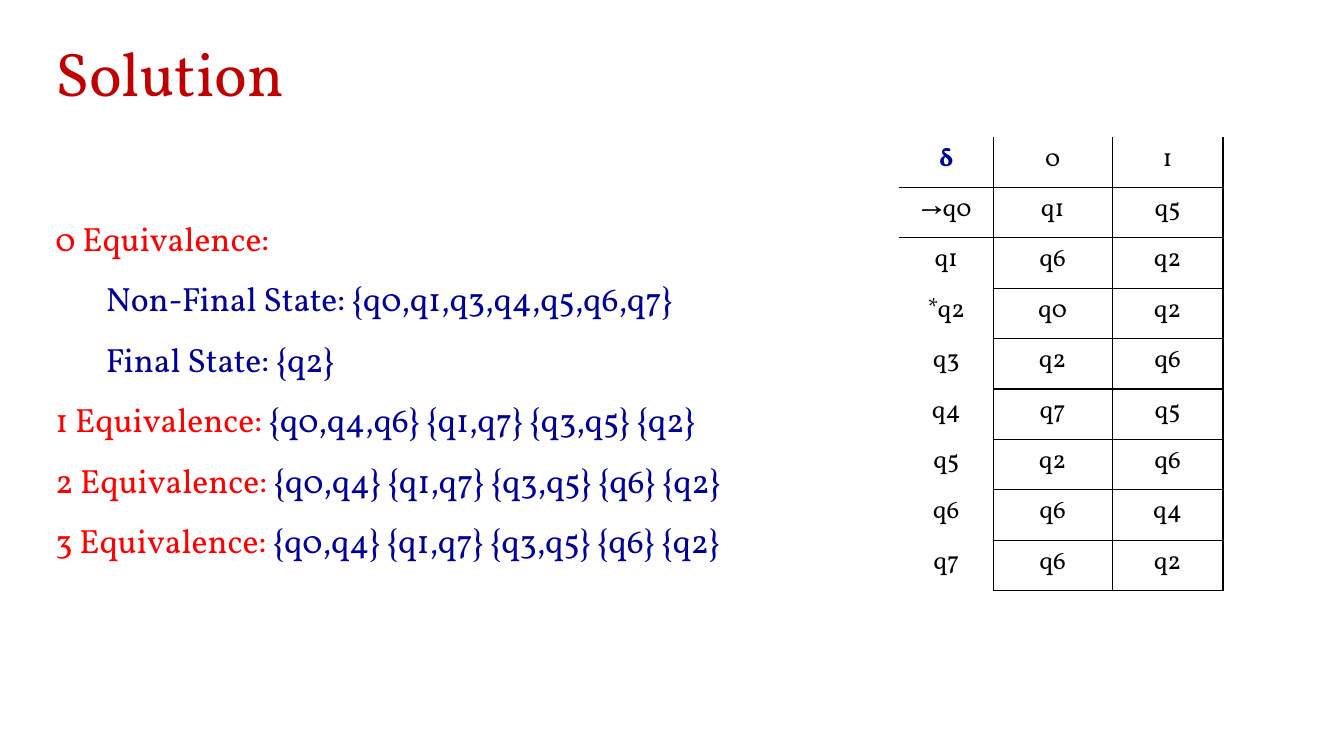
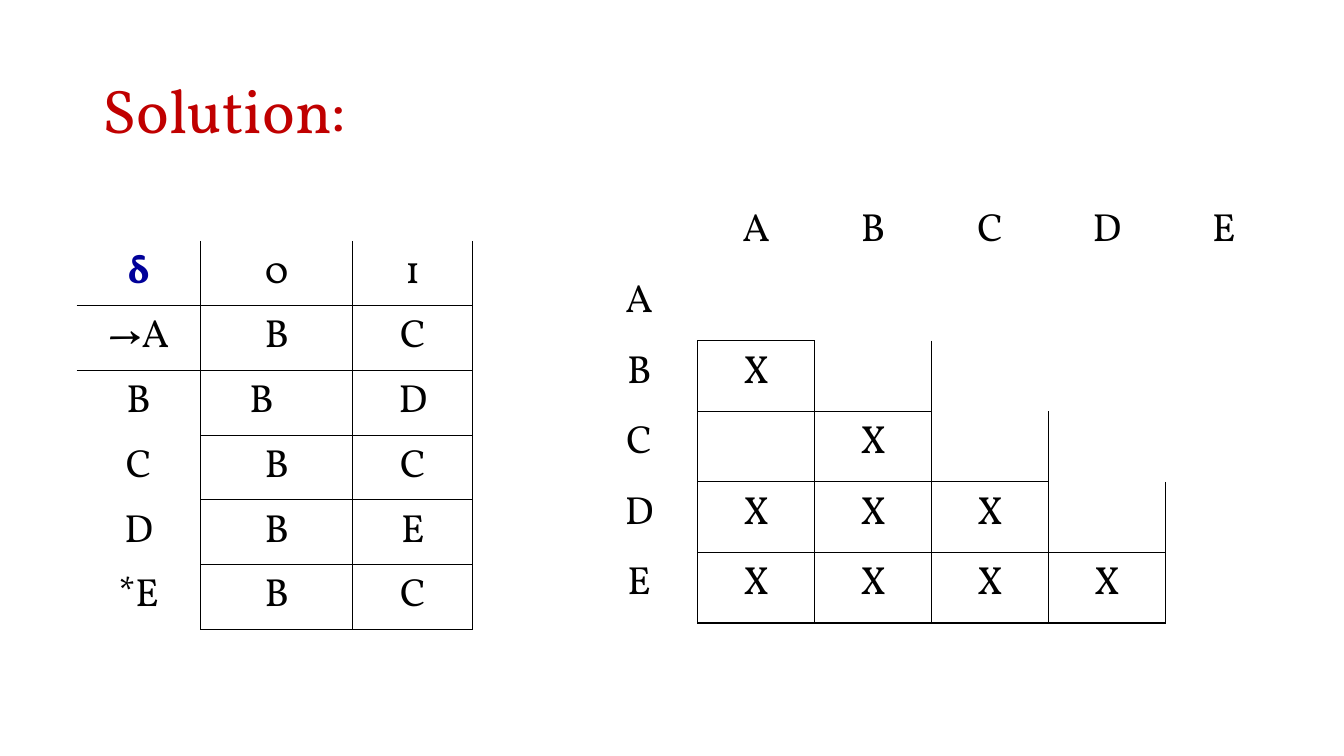
from dataclasses import dataclass
from typing import Callable

from lxml.etree import SubElement as Sub
from pptx import Presentation
from pptx.dml.color import RGBColor as Rgb
from pptx.enum.text import MSO_ANCHOR as Anchor, MSO_AUTO_SIZE as AutoSize, PP_ALIGN as Align
from pptx.oxml.ns import qn
from pptx.util import Emu, Pt

EMU_PER_PX = 9144
NO_GRID_STYLE = "{2D5ABB26-0587-4C30-8999-92F81FD0307C}"
NEIGHBOURS = {"L": (0, -1, "R"), "R": (0, 1, "L"), "T": (-1, 0, "B"), "B": (1, 0, "T")}


@dataclass(frozen=True)
class Theme:
    """Fonts, colours and type sizes of the deck."""

    font: str = "Vollkorn"
    title: str = "C00000"
    heading: str = "FF0000"
    states: str = "000099"
    ink: str = "000000"
    title_size: int = 44
    body_size: int = 24
    small_table_size: int = 18
    large_table_size: int = 28
    border: int = 1


@dataclass(frozen=True)
class Box:
    """A rectangle in px."""

    left: int
    top: int
    width: int
    height: int


@dataclass(frozen=True)
class Line:
    """A list line with a heading part and a states part."""

    heading: str = ""
    states: str = ""
    level: int = 0


@dataclass(frozen=True)
class Grid:
    """A table: its place, measures, texts and the sides each cell draws."""

    left: int
    top: int
    columns: list[int]
    row_height: int
    size: int
    rows: list[list[str]]
    sides: Callable[[int, int], str]


THEME = Theme()


def px(length: int) -> Emu:
    """Turn px into EMU."""
    return Emu(length * EMU_PER_PX)


def place(shape, box: Box) -> None:
    """Move and size a shape."""
    shape.left, shape.top = px(box.left), px(box.top)
    shape.width, shape.height = px(box.width), px(box.height)


def add_run(para, text: str, size: int, colour: str, bold: bool = False) -> None:
    """Add one formatted run to a paragraph."""
    span = para.add_run()
    span.text = text
    span.font.name = THEME.font
    span.font.size = Pt(size)
    span.font.bold = bold
    span.font.color.rgb = Rgb.from_string(colour)


def set_title(page, text: str, box: Box) -> None:
    """Fill the title placeholder."""
    title = page.shapes.title
    place(title, box)
    frame = title.text_frame
    frame.auto_size = AutoSize.NONE
    frame.vertical_anchor = Anchor.MIDDLE
    para = frame.paragraphs[0]
    para.alignment = Align.LEFT
    para.line_spacing = 0.9
    add_run(para, text, THEME.title_size, THEME.title)


def set_list(page, lines: list[Line], box: Box) -> None:
    """Fill the body placeholder with unbulleted lines."""
    body = page.placeholders[1]
    place(body, box)
    frame = body.text_frame
    frame.auto_size = AutoSize.SHAPE_TO_FIT_TEXT
    frame.vertical_anchor = Anchor.TOP
    for index, line in enumerate(lines):
        para = frame.add_paragraph() if index else frame.paragraphs[0]
        properties = para._p.get_or_add_pPr()
        properties.set("marL", str(px(50 * line.level)))
        properties.set("indent", "0")
        Sub(properties, qn("a:buNone"))
        para.level = line.level
        para.line_spacing = 1.5
        para.space_before = Pt(0)
        for text, colour in ((line.heading, THEME.heading), (line.states, THEME.states)):
            if text:
                add_run(para, text, THEME.body_size, colour)


def transition_sides(row: int, column: int) -> str:
    """Leave the outer top and left of a transition table open."""
    if column == 0:
        return "R" if row else "RB"
    return "LRTB" if row else "LRB"


def triangle_sides(row: int, column: int) -> str:
    """Frame only the cells below the diagonal."""
    return "LRTB" if 1 <= column < row else ""


def draw_borders(cell, grid: Grid, row: int, column: int) -> None:
    """Draw the sides owned by a cell or by its neighbours."""
    properties = cell._tc.get_or_add_tcPr()
    for side, (down, across, opposite) in NEIGHBOURS.items():
        near_row, near_column = row + down, column + across
        inside = 0 <= near_row < len(grid.rows) and 0 <= near_column < len(grid.columns)
        shared = inside and opposite in grid.sides(near_row, near_column)
        if shared or side in grid.sides(row, column):
            edge = Sub(properties, qn(f"a:ln{side}"), w=str(Pt(THEME.border)))
            Sub(Sub(edge, qn("a:solidFill")), qn("a:srgbClr"), val=THEME.ink)


def add_grid(page, grid: Grid):
    """Add a table and return it."""
    count = len(grid.rows)
    shape = page.shapes.add_table(
        count, len(grid.columns), px(grid.left), px(grid.top),
        px(sum(grid.columns)), px(count * grid.row_height))
    table = shape.table
    table.first_row = table.horz_banding = False
    table._tbl.tblPr.find(qn("a:tableStyleId")).text = NO_GRID_STYLE
    for column, width in zip(table.columns, grid.columns):
        column.width = px(width)
    for row, texts in enumerate(grid.rows):
        table.rows[row].height = px(grid.row_height)
        for column, text in enumerate(texts):
            cell = table.cell(row, column)
            draw_borders(cell, grid, row, column)
            cell.fill.background()
            para = cell.text_frame.paragraphs[0]
            para.alignment = Align.CENTER
            if text:
                corner = text == "δ"
                add_run(para, text, grid.size, THEME.states if corner else THEME.ink, corner)
    return table


def build_equivalence(deck) -> None:
    """Build the slide on equivalence classes."""
    page = deck.slides.add_slide(deck.slide_layouts[1])
    set_title(page, "Solution", Box(45, 20, 1150, 112))
    set_list(page, [
        Line("0 Equivalence:"),
        Line(states="Non-Final State: {q0,q1,q3,q4,q5,q6,q7}", level=1),
        Line(states="Final State: {q2}", level=1),
        Line("1 Equivalence: ", "{q0,q4,q6} {q1,q7} {q3,q5} {q2}"),
        Line("2 Equivalence: ", "{q0,q4} {q1,q7} {q3,q5} {q6} {q2}"),
        Line("3 Equivalence: ", "{q0,q4} {q1,q7} {q3,q5} {q6} {q2}"),
    ], Box(45, 191, 727, 367))
    rows = [
        ["δ", "0", "1"],
        ["→q0", "q1", "q5"],
        ["q1", "q6", "q2"],
        ["*q2", "q0", "q2"],
        ["q3", "q2", "q6"],
        ["q4", "q7", "q5"],
        ["q5", "q2", "q6"],
        ["q6", "q6", "q4"],
        ["q7", "q6", "q2"],
    ]
    add_grid(page, Grid(892, 136, [93, 118, 110], 50, THEME.small_table_size,
                        rows, transition_sides))


def build_table_filling(deck) -> None:
    """Build the slide on the table filling method."""
    page = deck.slides.add_slide(deck.slide_layouts[5])
    set_title(page, "Solution:", Box(92, 40, 1150, 145))
    names = "ABCDE"
    marks = ["", "X", " X", "XXX", "XXXX"]
    pairs = [["", *names]]
    pairs += [[name, *(mark.strip() for mark in row.ljust(len(names)))]
              for name, row in zip(names, marks)]
    add_grid(page, Grid(576, 198, [116] * 6, 70, THEME.large_table_size,
                        pairs, triangle_sides))
    rows = [
        ["δ", "0", "1"],
        ["→A", "B", "C"],
        ["B", "B", "D"],
        ["C", "B", "C"],
        ["D", "B", "E"],
        ["*E", "B", "C"],
    ]
    table = add_grid(page, Grid(76, 239, [123, 151, 119], 63, THEME.large_table_size,
                                rows, transition_sides))
    table.cell(2, 1).margin_right = px(40)


def main() -> None:
    """Build and save the deck."""
    deck = Presentation()
    deck.slide_width, deck.slide_height = px(1333), px(750)
    build_equivalence(deck)
    build_table_filling(deck)
    deck.save("out.pptx")


if __name__ == "__main__":
    main()
